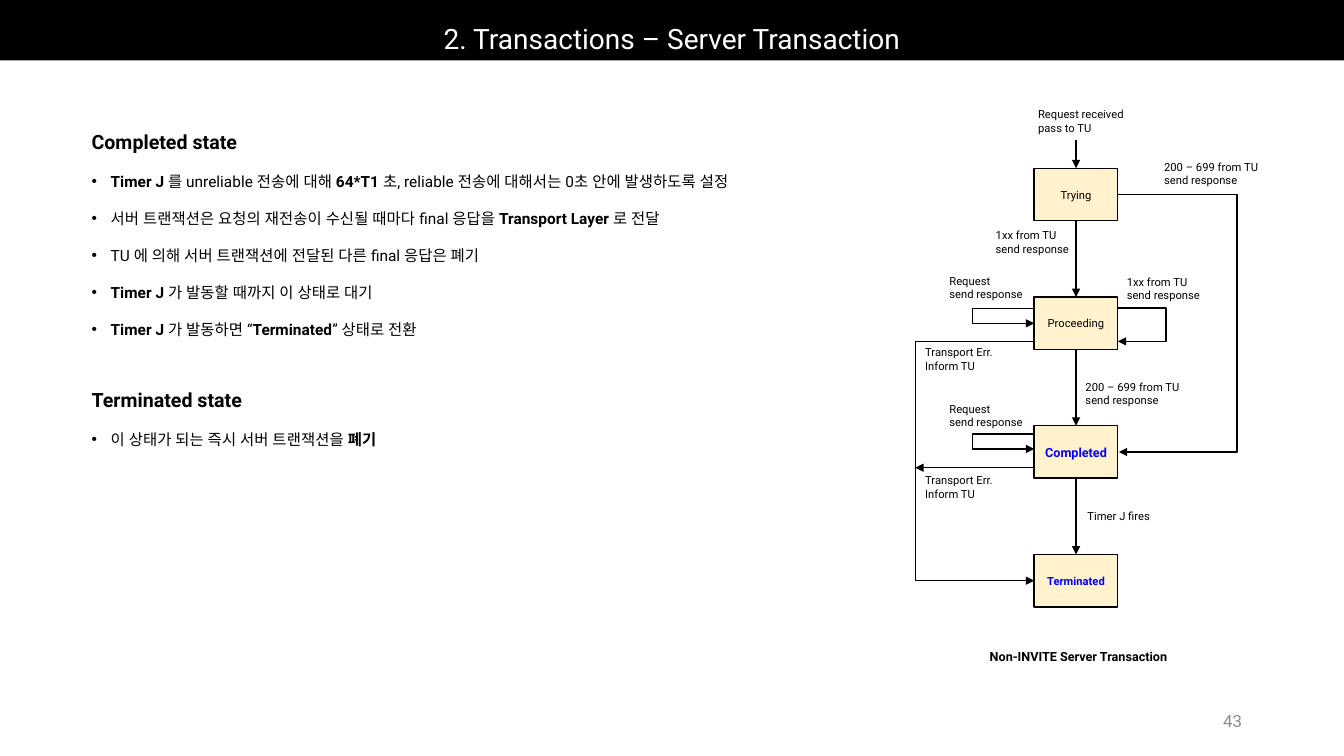
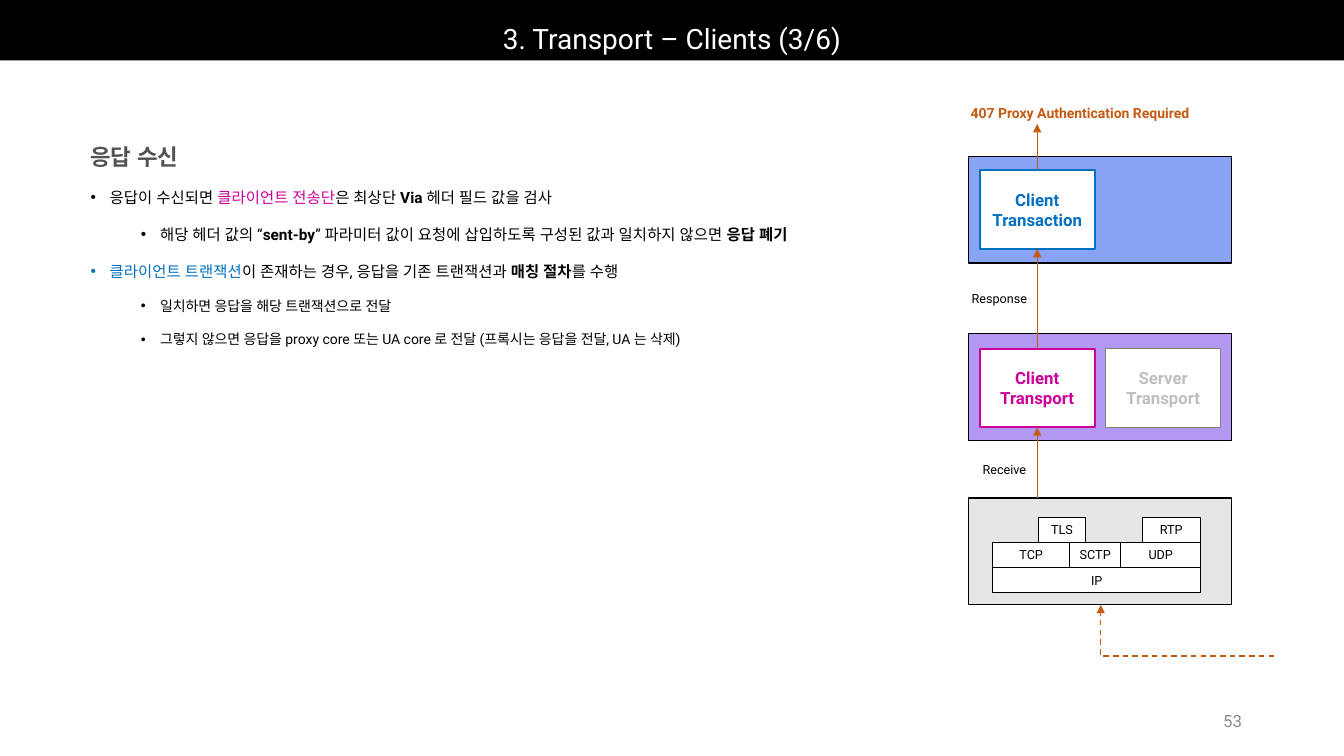
from lxml import etree
from pptx import Presentation
from pptx.dml.color import RGBColor
from pptx.enum.dml import MSO_LINE
from pptx.enum.shapes import MSO_CONNECTOR, MSO_SHAPE
from pptx.enum.text import MSO_ANCHOR, PP_ALIGN
from pptx.oxml.ns import qn
from pptx.util import Inches, Pt

RECT = MSO_SHAPE.RECTANGLE
STRAIGHT, ELBOW = MSO_CONNECTOR.STRAIGHT, MSO_CONNECTOR.ELBOW
LEFT, CENTER, RIGHT = PP_ALIGN.LEFT, PP_ALIGN.CENTER, PP_ALIGN.RIGHT
TOP, MIDDLE, BOTTOM = MSO_ANCHOR.TOP, MSO_ANCHOR.MIDDLE, MSO_ANCHOR.BOTTOM
DASH = MSO_LINE.DASH

COLS, ROWS, CELL = 133.33, 75, 0.1
FONT = "Roboto"
BLACK, WHITE, GREY = "000000", "FFFFFF", "8C8C8C"
CREAM, BLUE = "FFF2CC", "0000FF"
MAGENTA, SKY, ORANGE = "CC0099", "0070C0", "C55A11"


def grid(n):
    return Inches(n * CELL)


def rgb(hex_color):
    return RGBColor.from_string(hex_color)


def bold(text):
    return text, {"bold": True}


def tinted(text, color):
    return text, {"color": color}


def add_run(p, text, size=11, color=BLACK, bold=False):
    r = p.add_run()
    r.text = text
    r.font.size = Pt(size)
    r.font.bold = bold
    r.font.color.rgb = rgb(color)
    r.font.name = FONT
    latin = r.font._element.find(qn("a:latin"))
    ea = etree.Element(qn("a:ea"), typeface=FONT)
    latin.addnext(ea)


def add_bullet(p, level):
    p.level = level
    pPr = p._p.get_or_add_pPr()
    pPr.set("marL", str(Inches(0.19 + level / 2)))
    pPr.set("indent", str(-Inches(0.19)))
    etree.SubElement(pPr, qn("a:buFont"), typeface="Arial")
    etree.SubElement(pPr, qn("a:buChar"), char="•")


def write(p, *runs, align=LEFT, spacing=None, level=None, **fmt):
    if level is not None:
        add_bullet(p, level)
    p.alignment = align
    if spacing:
        p.line_spacing = spacing
    for run in runs:
        text, own = (run, {}) if isinstance(run, str) else run
        add_run(p, text, **{**fmt, **own})


def write_lines(tf, text, anchor=TOP, wrap=False, **fmt):
    tf.word_wrap = wrap
    tf.vertical_anchor = anchor
    for i, line in enumerate(text.split("\n")):
        write(tf.add_paragraph() if i else tf.paragraphs[0], line, **fmt)


def add_text(s, x, y, w, h, text, **fmt):
    sp = s.shapes.add_textbox(grid(x), grid(y), grid(w), grid(h))
    write_lines(sp.text_frame, text, **fmt)


def add_label(s, x, y, w, text, size=8, **fmt):
    add_text(s, x, y, w, 3.7 if "\n" in text else 2.5, text, size=size, **fmt)


def add_box(s, x, y, w, h, text="", fill=WHITE, line=BLACK, weight=1, anchor=MIDDLE, **fmt):
    sp = s.shapes.add_shape(RECT, grid(x), grid(y), grid(w), grid(h))
    sp.shadow.inherit = False
    sp.fill.solid()
    sp.fill.fore_color.rgb = rgb(fill)
    if line:
        sp.line.color.rgb = rgb(line)
        sp.line.width = Pt(weight)
    else:
        sp.line.fill.background()
    if text:
        write_lines(sp.text_frame, text, anchor=anchor, align=CENTER, **fmt)


def add_body(s, x, y, w, h, heading, items, size=14, color=BLACK):
    sp = s.shapes.add_textbox(grid(x), grid(y), grid(w), grid(h))
    tf = sp.text_frame
    tf.word_wrap = True
    write(tf.paragraphs[0], heading, size=size, color=color, bold=True, spacing=2.0)
    for level, item_size, *runs in items:
        write(tf.add_paragraph(), *runs, size=item_size, level=level, spacing=2.0)


def add_arrow(s, x0, y0, x1, y1, color=BLACK, kind=STRAIGHT, dash=None):
    c = s.shapes.add_connector(kind, grid(x0), grid(y0), grid(x1), grid(y1))
    c.line.color.rgb = rgb(color)
    c.line.width = Pt(1)
    if dash:
        c.line.dash_style = dash
    etree.SubElement(c.line._get_or_add_ln(), qn("a:tailEnd"), type="triangle")
    spPr = c._element.spPr
    etree.SubElement(spPr, qn("a:effectLst"))
    return spPr


def add_elbow(s, x0, y0, x1, y1, via=None, **fmt):
    spPr = add_arrow(s, x0, y0, x1, y1, kind=ELBOW, **fmt)
    if x1 < x0:
        xfrm = spPr.find(qn("a:xfrm"))
        xfrm.set("rot", "10800000")
        xfrm.set("flipH", "0")
        xfrm.set("flipV", "1" if y1 > y0 else "0")
    geom = spPr.find(qn("a:prstGeom"))
    if via is None:
        geom.set("prst", "bentConnector2")
    else:
        share = round((via - x0) / (x1 - x0) * 100000)
        etree.SubElement(geom.find(qn("a:avLst")), qn("a:gd"), name="adj1", fmla=f"val {share}")


def add_slide(prs, title, number):
    s = prs.slides.add_slide(prs.slide_layouts[6])
    add_box(s, 0, 0, COLS, 6, title, fill=BLACK, line=None, anchor=BOTTOM,
            size=20, color=WHITE, spacing=0.9, wrap=True)
    add_text(s, 94.2, 69.5, 30, 4, number, anchor=MIDDLE, align=RIGHT, wrap=True,
             size=12, color=GREY)
    return s


def add_state_diagram(s):
    left, w, h, step = 102.6, 8.3, 5.2, 12.77
    right, mid = left + w, left + w / 2
    tops = [16.7 + step * i for i in range(4)]
    trying, proceeding, completed, terminated = tops
    loop, error = 96.5, 90.8

    add_elbow(s, left, proceeding + 1.1, right, proceeding + 4.4, via=115.7)
    add_elbow(s, right, proceeding + 4.4, left, terminated + h / 2, via=error)
    for top in (proceeding + 1.1, completed + 0.8):
        add_elbow(s, right, top, left, top + 1.5, via=loop)
    add_elbow(s, right, trying + h / 2, right + 0.1, completed + h / 2, via=122.9)

    states = [("Trying", 8, BLACK, False), ("Proceeding", 8, BLACK, False),
              ("Completed", 9, BLUE, True), ("Terminated", 8, BLUE, True)]
    for top, (name, size, color, strong) in zip(tops, states):
        add_box(s, left, top, w, h, name, fill=CREAM, size=size, color=color, bold=strong)
    add_arrow(s, mid, 13.9, mid, trying)
    for top, below in zip(tops, tops[1:]):
        add_arrow(s, mid, top + h, mid, below)
    add_arrow(s, left, 46.4, error, 46.4)

    for x, y, width, text in [
        (102, 10.2, 10.9, "Request received\npass to TU"),
        (97.8, 22.2, 9.3, "1xx from TU\nsend response"),
        (106.7, 37.2, 11.5, "200 – 699 from TU\nsend response"),
        (106.9, 50, 8.3, "Timer J fires"),
        (114.5, 15.4, 11.5, "200 – 699 from TU\nsend response"),
        (93.2, 26.7, 9.3, "Request\nsend response"),
        (110.8, 26.8, 9.3, "1xx from TU\nsend response"),
        (93.2, 39.4, 9.3, "Request\nsend response"),
        (90.8, 33.8, 8.9, "Transport Err.\nInform TU"),
        (90.8, 46.5, 8.9, "Transport Err.\nInform TU"),
    ]:
        add_label(s, x, y, width, text)
    add_label(s, 97.2, 63.9, 19.9, "Non-INVITE Server Transaction", size=9, bold=True)


def add_layer_diagram(s):
    left, w, h = 96.1, 26.1, 10.6
    transaction, transport, network = 15.5, 33.1, 49.4
    for top, fill in ((transaction, "89A3F7"), (transport, "B298F2"), (network, "E7E6E6")):
        add_box(s, left, top, w, h, fill=fill)

    client, server, inner_h = left + 1.1, left + 13.6, 7.8
    for x, top, text, line, color, weight in [
        (client, transaction + 1.4, "Client\nTransaction", SKY, SKY, 1.5),
        (client, transport + 1.5, "Client\nTransport", MAGENTA, MAGENTA, 1.5),
        (server, transport + 1.5, "Server\nTransport", "808080", "BFBFBF", 1),
    ]:
        add_box(s, x, top, 11.4, inner_h, text, line=line, weight=weight,
                size=12, color=color, bold=True)

    row = 2.5
    for x, level, width, name in [
        (103, 0, 4.7, "TLS"), (113.3, 0, 5.8, "RTP"),
        (98.5, 1, 7.6, "TCP"), (106.1, 1, 5.1, "SCTP"), (111.2, 1, 7.9, "UDP"),
        (98.5, 2, 20.6, "IP"),
    ]:
        add_box(s, x, 51.3 + row * level, width, row, name, weight=0.75, size=9)

    axis = client + 5.7
    for start, end in ((transaction + 1.4, 12.3),
                       (transport + 1.5, transaction + 1.4 + inner_h),
                       (network, transport + 1.5 + inner_h)):
        add_arrow(s, axis, start, axis, end, color=ORANGE)
    add_elbow(s, 126.4, 65.1, 109.2, network + h, color=ORANGE, dash=DASH)

    add_label(s, 95.4, 28.4, 7.5, "Response", size=9)
    add_label(s, 96.5, 45.3, 6.4, "Receive", size=9)
    add_label(s, 95.3, 9.9, 24.1, "407 Proxy Authentication Required",
              size=10, color=ORANGE, bold=True)


def server_transaction(prs):
    s = add_slide(prs, "2. Transactions – Server Transaction", "43")
    add_body(s, 8.1, 10.1, 66.9, 27.4, "Completed state", [
        (0, 11, bold("Timer J "), "를 unreliable 전송에 대해 ", bold("64*T1 "),
         "초, reliable 전송에 대해서는 0초 안에 발생하도록 설정"),
        (0, 11, "서버 트랜잭션은 요청의 재전송이 수신될 때마다 final 응답을 ",
         bold("Transport Layer "), "로 전달"),
        (0, 11, "TU 에 의해 서버 트랜잭션에 전달된 다른 final 응답은 폐기"),
        (0, 11, bold("Timer J "), "가 발동할 때까지 이 상태로 대기"),
        (0, 11, bold("Timer J "), "가 발동하면 “", bold("Terminated"), "” 상태로 전환"),
    ])
    add_body(s, 8.1, 35.7, 31.6, 9, "Terminated state", [
        (0, 11, "이 상태가 되는 즉시 서버 트랜잭션을 ", bold("폐기")),
    ])
    add_state_diagram(s)


def transport_clients(prs):
    s = add_slide(prs, "3. Transport – Clients (3/6)", "53")
    add_body(s, 8, 11, 74, 23.7, "응답 수신", [
        (0, 11, "응답이 수신되면 ", tinted("클라이언트 전송단", MAGENTA), "은 최상단 ",
         bold("Via "), "헤더 필드 값을 검사"),
        (1, 11, "해당 헤더 값의 “", bold("sent-by"),
         "” 파라미터 값이 요청에 삽입하도록 구성된 값과 일치하지 않으면 ", bold("응답 폐기")),
        (0, 11, tinted("클라이언트 트랜잭션", SKY), "이 존재하는 경우, 응답을 기존 트랜잭션과 ",
         bold("매칭 절차"), "를 수행"),
        (1, 10, "일치하면 응답을 해당 트랜잭션으로 전달"),
        (1, 10, "그렇지 않으면 응답을 proxy core 또는 UA core 로 전달 "
                "(프록시는 응답을 전달, UA 는 삭제)"),
    ], size=16, color="525252")
    add_layer_diagram(s)


def main():
    prs = Presentation()
    prs.slide_width, prs.slide_height = grid(COLS), grid(ROWS)
    server_transaction(prs)
    transport_clients(prs)
    prs.save("out.pptx")


if __name__ == "__main__":
    main()
